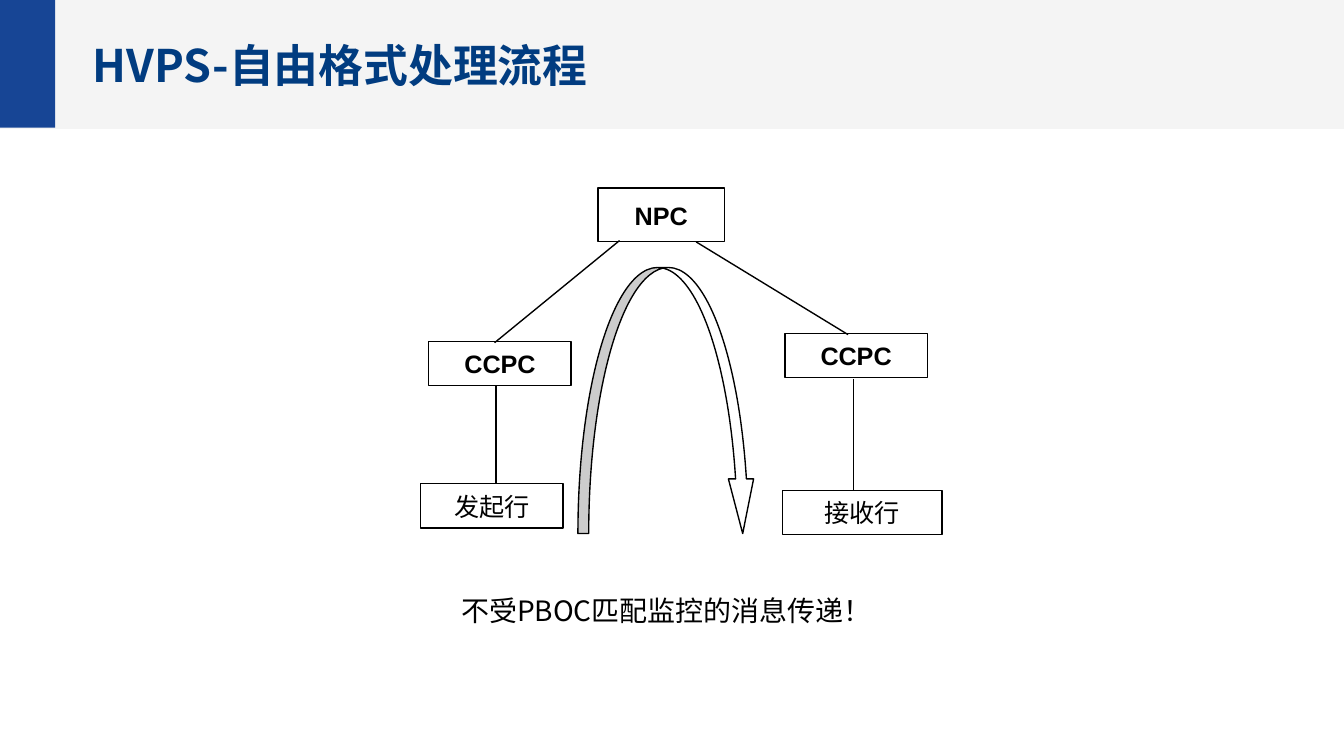
import pptx
import pptx.dml.color
import pptx.enum.shapes
import pptx.enum.text
import pptx.oxml.ns
import pptx.util
from lxml import etree
from pptx.util import Inches

SHAPES = pptx.enum.shapes.MSO_SHAPE
ALIGN = pptx.enum.text.PP_ALIGN
ANCHOR = pptx.enum.text.MSO_ANCHOR
CJK_FONT = "Noto Sans CJK SC"
TITLE_ONLY = 5


def rgb(value):
    return pptx.dml.color.RGBColor.from_string(value)


def qn(tag):
    return pptx.oxml.ns.qn(tag)


def write(frame, text, size, font, color="000000", bold=False, align=ALIGN.CENTER):
    frame.text = text
    paragraph = frame.paragraphs[0]
    paragraph.alignment = align
    run = paragraph.runs[0]
    run.font.size = pptx.util.Pt(size)
    run.font.bold = bold
    run.font.name = font
    run.font.color.rgb = rgb(color)
    east_asian = etree.Element(qn("a:ea"), typeface=CJK_FONT)
    run.font._element.find(qn("a:latin")).addnext(east_asian)


def add_filled(slide, preset, box, fill, outlined=False):
    shape = slide.shapes.add_shape(preset, *map(Inches, box))
    shape.shadow.inherit = False
    shape.fill.solid()
    shape.fill.fore_color.rgb = rgb(fill)
    if outlined:
        shape.line.color.rgb = rgb("000000")
        shape.line.width = pptx.util.Pt(0.75)
    else:
        shape.line.fill.background()
    return shape


def add_header(slide):
    band = add_filled(slide, SHAPES.RECTANGLE, (-0.01, -0.01, 10.02, 0.97), "D5D5D5")
    band_color = band._element.spPr.find(".//" + qn("a:srgbClr"))
    etree.SubElement(band_color, qn("a:alpha"), val="24000")
    add_filled(slide, SHAPES.RECTANGLE, (0, -0.01, 0.41, 0.96), "174595")


def add_title(slide, text):
    """Fill the title placeholder and bring it in front of the header band."""
    title = slide.shapes.title
    title.left, title.top = Inches(0.59), Inches(0.2)
    title.width, title.height = Inches(6.42), Inches(0.56)
    title.text_frame.vertical_anchor = ANCHOR.MIDDLE
    write(title.text_frame, text, 24, CJK_FONT, "013C80", True, ALIGN.LEFT)
    title.element.getparent().append(title.element)


def add_node(slide, text, box, bold):
    node = add_filled(slide, SHAPES.RECTANGLE, box, "FFFFFF", outlined=True)
    node.text_frame.word_wrap = False
    node.text_frame.vertical_anchor = ANCHOR.MIDDLE
    write(node.text_frame, text, 13.5, "Arial", bold=bold)


def add_link(slide, ends):
    link = slide.shapes.add_connector(
        pptx.enum.shapes.MSO_CONNECTOR.STRAIGHT, *map(Inches, ends))
    link.line.color.rgb = rgb("000000")
    link.line.width = pptx.util.Pt(0.75)
    etree.SubElement(link._element.spPr, qn("a:effectLst"))


def add_message_arrow(slide):
    arrow = add_filled(slide, SHAPES.CURVED_DOWN_ARROW, (4.3, 1.99, 1.32, 1.98),
                       "FFFFFF", outlined=True)
    for index, value in enumerate((0.061, 0.142, 0.308)):
        arrow.adjustments[index] = value


def add_caption(slide, text):
    caption = slide.shapes.add_textbox(*map(Inches, (3.21, 4.37, 3.29, 0.35)))
    frame = caption.text_frame
    frame.word_wrap = True
    frame.margin_left = frame.margin_right = Inches(0.17)
    write(frame, text, 15, CJK_FONT)


def main():
    deck = pptx.Presentation()
    deck.slide_width = Inches(10)
    deck.slide_height = deck.slide_width * 9 // 16
    slide = deck.slides.add_slide(deck.slide_layouts[TITLE_ONLY])

    add_header(slide)
    add_title(slide, "HVPS-自由格式处理流程")

    nodes = [
        ("NPC", (4.45, 1.4, 0.94, 0.4), True),
        ("CCPC", (5.84, 2.48, 1.06, 0.33), True),
        ("CCPC", (3.19, 2.54, 1.06, 0.33), True),
        ("接收行", (5.82, 3.65, 1.19, 0.33), False),
        ("发起行", (3.13, 3.6, 1.06, 0.33), False),
    ]
    for text, box, bold in nodes:
        add_node(slide, text, box, bold)

    links = [
        (4.61, 1.79, 3.68, 2.55),
        (5.18, 1.8, 6.31, 2.49),
        (6.35, 2.82, 6.35, 3.65),
        (3.69, 2.87, 3.69, 3.6),
    ]
    for ends in links:
        add_link(slide, ends)

    add_message_arrow(slide)
    add_caption(slide, "不受PBOC匹配监控的消息传递！")
    deck.save("out.pptx")


if __name__ == "__main__":
    main()
